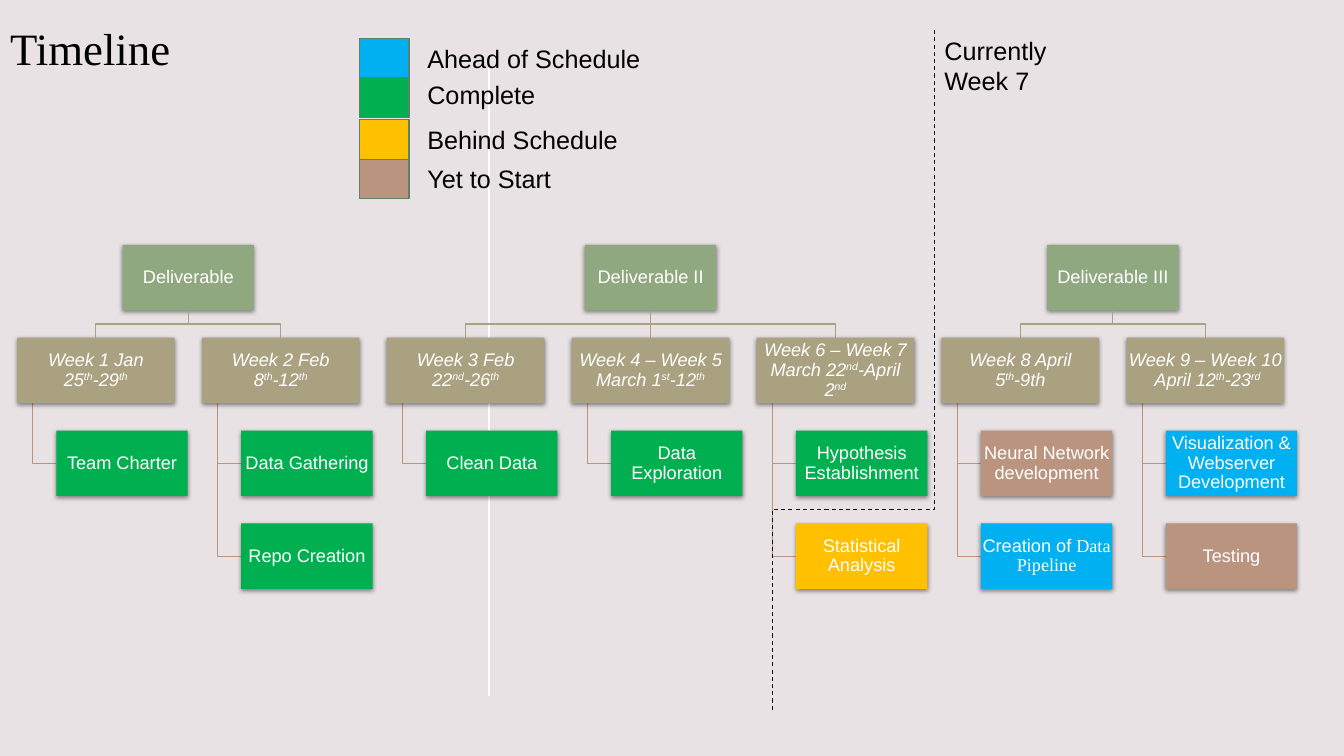
from lxml import etree
from pptx import Presentation
from pptx import util as u
from pptx.dml.color import RGBColor
from pptx.enum import dml, shapes, text
from pptx.oxml.ns import qn

BLUE, GREEN, AMBER, BROWN = "00B0F0", "00B050", "FFC000", "BA947F"
SAGE, KHAKI, TEAL, INK, WHITE = "8FA880", "AAA180", "5F7F6D", "000000", "FFFFFF"

# All lengths in cm
LEFT, TOP, COLUMN, ROW = 0.43, 6.17, 4.66, 2.34
WEEK_WIDTH, BOX_WIDTH, BOX_HEIGHT = 3.97, 3.31, 1.65
TASK_INDENT, STEM = 0.99, 0.4

# swatch top, label top, colour, label
LEGEND = [
    (0.97, 0.97, BLUE, "Ahead of Schedule"),
    (1.96, 1.88, GREEN, "Complete"),
    (3.02, 3.0, AMBER, "Behind Schedule"),
    (4.01, 3.99, BROWN, "Yet to Start"),
]

# Parts between carets take the alternate format: superscript or serif
PLAN = [
    ("Deliverable", [
        ("Week 1 Jan 25^th^-29^th", [("Team Charter", GREEN)]),
        ("Week 2 Feb 8^th^-12^th", [("Data Gathering", GREEN), ("Repo Creation", GREEN)]),
    ]),
    ("Deliverable II", [
        ("Week 3 Feb 22^nd^-26^th", [("Clean Data", GREEN)]),
        ("Week 4 – Week 5 March 1^st^-12^th", [("Data Exploration", GREEN)]),
        ("Week 6 – Week 7 March 22^nd^-April 2^nd",
         [("Hypothesis Establishment", GREEN), ("Statistical Analysis", AMBER)]),
    ]),
    ("Deliverable III", [
        ("Week 8 April 5^th^-9th",
         [("Neural Network development", BROWN), ("Creation of ^Data Pipeline", BLUE)]),
        ("Week 9 – Week 10  April 12^th^-23^rd",
         [("Visualization & Webserver Development", BLUE), ("Testing", BROWN)]),
    ]),
]


def colour(code):
    return RGBColor.from_string(code)


def apply(target, values):
    for name, value in values.items():
        setattr(target, name, value)


class Slide:
    sans, serif = "Arial", "Times New Roman"

    def __init__(self, deck):
        self.page = deck.slides.add_slide(deck.slide_layouts[5])

    def background(self, code):
        fill = self.page.background.fill
        fill.solid()
        fill.fore_color.rgb = colour(code)

    def add_words(self, para, words, code, alternate=None, **font):
        for index, part in enumerate(words.split("^")):
            span = para.add_run()
            span.text = part
            apply(span.font, {"name": self.sans, **font})
            span.font.color.rgb = colour(code)
            if index % 2 and alternate == "superscript":
                span.font._element.set("baseline", "30000")
            elif index % 2:
                span.font.name = self.serif

    def title(self, words, *place):
        box = self.page.shapes.title
        apply(box, dict(zip(("left", "top", "width", "height"), map(u.Cm, place))))
        apply(box.text_frame, {"vertical_anchor": text.MSO_ANCHOR.TOP,
                               "margin_top": u.Cm(0.28), "word_wrap": True})
        para = box.text_frame.paragraphs[0]
        para.alignment = text.PP_ALIGN.LEFT
        self.add_words(para, words, INK, name=self.serif, size=u.Pt(32))

    def label(self, words, *place):
        box = self.page.shapes.add_textbox(*map(u.Cm, place))
        box.text_frame.word_wrap = True
        self.add_words(box.text_frame.paragraphs[0], words, INK, size=u.Pt(18))

    def rectangle(self, code, *place):
        box = self.page.shapes.add_shape(shapes.MSO_SHAPE.RECTANGLE, *map(u.Cm, place))
        box.shadow.inherit = False
        box.fill.solid()
        box.fill.fore_color.rgb = colour(code)
        return box

    def swatch(self, code, *place):
        self.stroke(self.rectangle(code, *place), TEAL, 0.85)

    def card(self, words, code, left, top, width, **font):
        box = self.rectangle(code, left, top, width, BOX_HEIGHT)
        box.line.fill.background()
        effects = box._element.spPr.find(qn("a:effectLst"))
        shadow = etree.SubElement(effects, qn("a:outerShdw"), blurRad=str(u.Pt(3.5)),
                                  dist=str(u.Pt(1.1)), dir="5400000", rotWithShape="0")
        shade = etree.SubElement(shadow, qn("a:srgbClr"), val=INK)
        etree.SubElement(shade, qn("a:alpha"), val="45000")
        frame = box.text_frame
        apply(frame, {"word_wrap": True, "vertical_anchor": text.MSO_ANCHOR.MIDDLE})
        apply(frame, dict.fromkeys(
            ("margin_left", "margin_top", "margin_right", "margin_bottom"), u.Cm(0.02)))
        para = frame.paragraphs[0]
        apply(para, {"alignment": text.PP_ALIGN.CENTER, "line_spacing": 0.9})
        self.add_words(para, words, WHITE, size=u.Pt(13), **font)
        return box

    def stroke(self, shape, code, width):
        shape.line.color.rgb = colour(code)
        shape.line.width = u.Pt(width)

    def connector(self, kind, code, width, *ends):
        line = self.page.shapes.add_connector(kind, *map(u.Cm, ends))
        self.stroke(line, code, width)
        etree.SubElement(line._element.spPr, qn("a:effectLst"))
        return line

    def branch(self, code, *points):
        """Draw an open line through the points."""
        start, *rest = [(u.Cm(x), u.Cm(y)) for x, y in points]
        builder = self.page.shapes.build_freeform(*start)
        builder.add_line_segments(rest, close=False)
        line = builder.convert_to_shape()
        line.shadow.inherit = False
        line.fill.background()
        self.stroke(line, code, 0.85)

    def current_week_line(self):
        line = self.connector(shapes.MSO_CONNECTOR.ELBOW, "0D0D0D", 0.75,
                              12.93, 7.29, 30.08, 11.38)
        line.line.dash_style = dml.MSO_LINE.DASH
        line._element.spPr.find(qn("a:xfrm")).set("rot", "5400000")
        guides = line._element.spPr.find(qn("a:prstGeom")).find(qn("a:avLst"))
        etree.SubElement(guides, qn("a:gd"), name="adj1", fmla="val 70400")

    def week(self, words, tasks, left):
        top = TOP + ROW
        stem = left + STEM
        for row, (task, code) in enumerate(tasks, 1):
            task_top = top + row * ROW
            middle = task_top + BOX_HEIGHT / 2
            self.branch(BROWN, (stem, top + BOX_HEIGHT), (stem, middle),
                        (left + TASK_INDENT, middle))
            self.card(task, code, left + TASK_INDENT, task_top, BOX_WIDTH)
        return self.card(words, KHAKI, left, top, WEEK_WIDTH,
                         alternate="superscript", italic=True)

    def deliverable(self, words, weeks, first):
        lefts = [LEFT + (first + index) * COLUMN for index in range(len(weeks))]
        centre = (lefts[0] + lefts[-1] + WEEK_WIDTH) / 2
        head = self.card(words, SAGE, centre - BOX_WIDTH / 2, TOP, BOX_WIDTH)
        bottom, week_top = TOP + BOX_HEIGHT, TOP + ROW
        bend = (bottom + week_top) / 2
        for left, (dates, tasks) in zip(lefts, weeks):
            box = self.week(dates, tasks, left)
            target = left + WEEK_WIDTH / 2
            if abs(target - centre) < 0.01:
                line = self.connector(shapes.MSO_CONNECTOR.STRAIGHT, KHAKI, 0.85,
                                      centre, bottom, target, week_top)
                line.begin_connect(head, 2)
                line.end_connect(box, 0)
            else:
                self.branch(KHAKI, (centre, bottom), (centre, bend),
                            (target, bend), (target, week_top))


def main():
    deck = Presentation()
    deck.slide_width, deck.slide_height = u.Cm(33.87), u.Cm(19.05)
    slide = Slide(deck)
    slide.background("E8E2E5")
    slide.title("Timeline", 0, 0.23, 15.98, 4.04)
    slide.connector(shapes.MSO_CONNECTOR.STRAIGHT, WHITE, 1, 12.32, 1.5, 12.32, 17.55)
    first = 0
    for words, weeks in PLAN:
        slide.deliverable(words, weeks, first)
        first += len(weeks)
    slide.current_week_line()
    for swatch_top, label_top, code, words in LEGEND:
        slide.swatch(code, 9.07, swatch_top, 1.24, 1)
        slide.label(words, 10.52, label_top, 6.07, 1.02)
    slide.label("Currently Week 7", 23.55, 0.76, 3.71, 1.8)
    deck.save("out.pptx")


if __name__ == "__main__":
    main()
